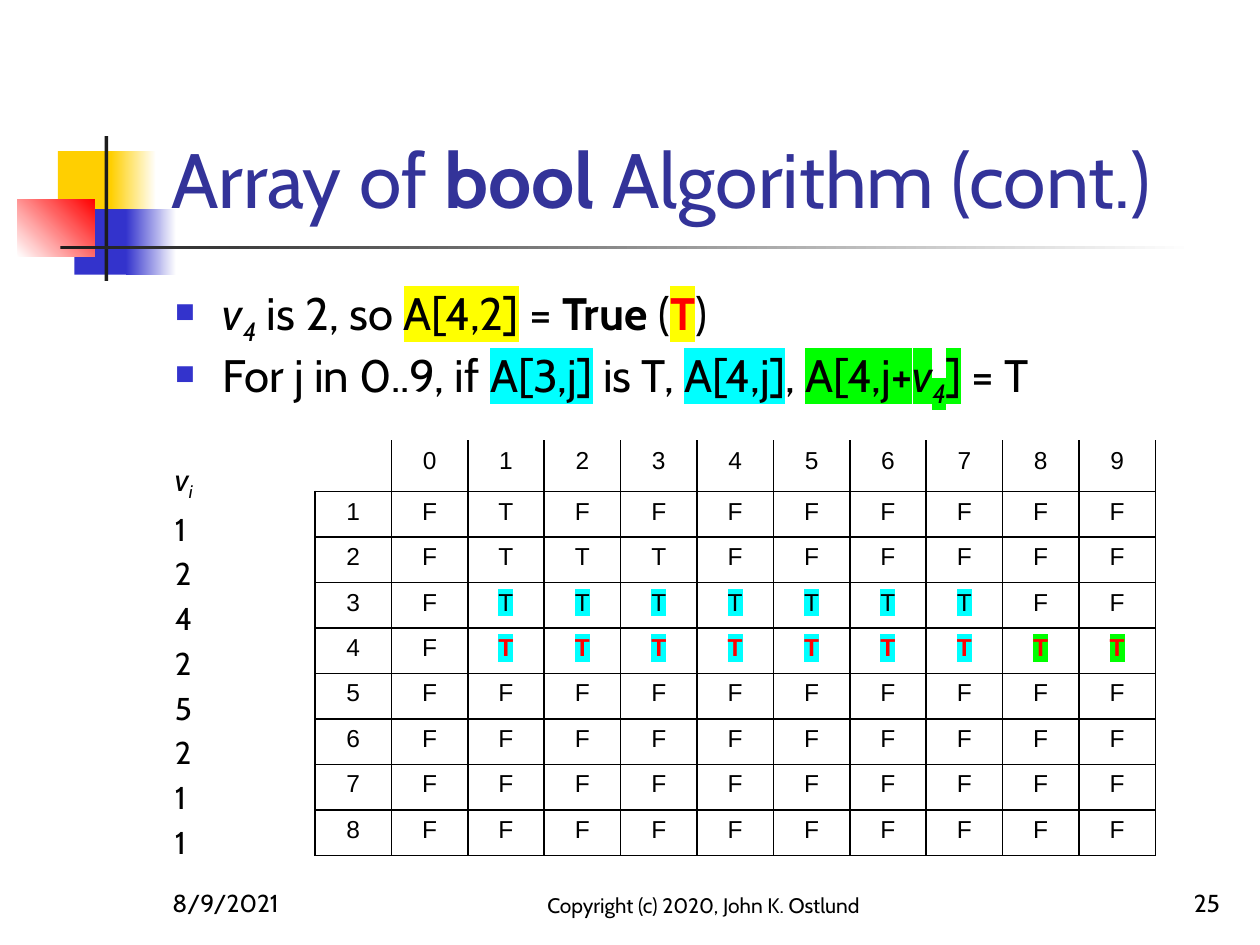
from dataclasses import dataclass
from typing import Optional

from lxml.etree import SubElement
from pptx import Presentation
from pptx.dml.color import RGBColor
from pptx.enum.shapes import MSO_SHAPE as Shape
from pptx.enum.text import MSO_ANCHOR as Anchor, PP_ALIGN as Align
from pptx.oxml.ns import qn
from pptx.util import Inches, Pt

COLORS = {
    "black": "000000", "white": "FFFFFF", "charcoal": "1C1C1C", "gold": "FFCF01",
    "blue": "3333CC", "navy": "333399", "red": "FF0000", "yellow": "FFFF00",
    "cyan": "00FFFF", "green": "00FF00",
}


@dataclass
class Bar:
    """A decorative rectangle, plain or fading to a second colour."""
    left: float
    top: float
    width: float
    height: float
    color: str
    end: Optional[str] = None
    angle: int = 0


@dataclass
class Span:
    """A piece of text with its own formatting."""
    text: str
    color: str = "black"
    bold: bool = False
    italic: bool = False
    subscript: bool = False
    highlight: Optional[str] = None


@dataclass
class Footer:
    """A line of text at the bottom of the slide."""
    text: str
    left: float
    width: float
    size: int
    align: Align


BARS = [
    Bar(0.46, 1.2, 0.48, 0.52, "gold"),
    Bar(0.88, 1.2, 0.36, 0.52, "gold", "white"),
    Bar(0.59, 1.66, 0.46, 0.52, "blue"),
    Bar(1, 1.66, 0.4, 0.52, "blue", "white"),
    Bar(0.14, 1.58, 0.61, 0.46, "white", "red", 45),
    Bar(0.83, 1.08, 0.03, 1.15, "charcoal"),
    Bar(0.48, 1.95, 9, 0.03, "charcoal", "white"),
]
TITLE = [
    Span("Array of ", "navy"), Span("bool", "navy", bold=True),
    Span(" Algorithm (cont.)", "navy"),
]
BULLETS = [
    [Span("v", italic=True), Span("4", italic=True, subscript=True), Span(" is 2, so "),
     Span("A[4,2]", highlight="yellow"), Span(" = "), Span("True", bold=True),
     Span(" ("), Span("T", "red", bold=True, highlight="yellow"), Span(")")],
    [Span("For j in 0..9, if "), Span("A[3,j]", highlight="cyan"), Span(" is T, "),
     Span("A[4,j]", highlight="cyan"), Span(", "), Span("A[4,j+", highlight="green"),
     Span("v", italic=True, highlight="green"),
     Span("4", italic=True, subscript=True, highlight="green"),
     Span("]", highlight="green"), Span(" = T")],
]
VALUES = [[Span("v", italic=True), Span("i", italic=True, subscript=True)]]
VALUES += [[Span(digit)] for digit in "12425211"]
FOOTERS = [
    Footer("8/9/2021", 1.27, 2.08, 14, Align.LEFT),
    Footer("Copyright (c) 2020, John K. Ostlund", 4, 3.17, 12, Align.CENTER),
    Footer("25", 7.7, 2.08, 14, Align.RIGHT),
]
TRUTH_ROWS = ["FTFFFFFFFF", "FTTTFFFFFF", "FTTTTTTTFF", "FTTTTTTTTT"] + ["F" * 10] * 4
SOURCE_ROW, RESULT_ROW, FIRST_NEW_SUM = 3, 4, 8


def rgb(name: str) -> RGBColor:
    """Look up a colour by name."""
    return RGBColor.from_string(COLORS[name])


def add_bar(slide, bar: Bar) -> None:
    """Draw one decorative rectangle."""
    shape = slide.shapes.add_shape(
        Shape.RECTANGLE, Inches(bar.left), Inches(bar.top), Inches(bar.width), Inches(bar.height))
    shape.shadow.inherit = False
    shape.line.fill.background()
    if bar.end is None:
        shape.fill.solid()
        shape.fill.fore_color.rgb = rgb(bar.color)
        return
    shape.fill.gradient()
    shape.fill.gradient_angle = bar.angle
    for stop, name in zip(shape.fill.gradient_stops, (bar.color, bar.end)):
        stop.color.rgb = rgb(name)


def write_spans(paragraph, spans: list[Span], size: int, font_name: str = "Cabin") -> None:
    """Fill a paragraph with formatted runs."""
    for span in spans:
        run = paragraph.add_run()
        run.text = span.text
        font = run.font
        font.name, font.size = font_name, Pt(size)
        font.bold, font.italic = span.bold, span.italic
        font.color.rgb = rgb(span.color)
        properties = run.font._element
        if span.subscript:
            properties.set("baseline", "-25000")
        if span.highlight:
            highlight = SubElement(properties, qn("a:highlight"))
            SubElement(highlight, qn("a:srgbClr"), val=COLORS[span.highlight])
            properties.find(qn("a:solidFill")).addnext(highlight)


def add_text_frame(slide, left: float, top: float, width: float, height: float, anchor: Anchor):
    """Add a wrapping text box and return its text frame."""
    box = slide.shapes.add_textbox(Inches(left), Inches(top), Inches(width), Inches(height))
    box.text_frame.word_wrap = True
    box.text_frame.vertical_anchor = anchor
    return box.text_frame


def set_bullet(paragraph) -> None:
    """Give a paragraph a small square bullet with a hanging indent."""
    properties = paragraph._p.get_or_add_pPr()
    properties.set("marL", str(Inches(0.38)))
    properties.set("indent", str(Inches(-0.38)))
    color = SubElement(properties, qn("a:buClr"))
    SubElement(color, qn("a:srgbClr"), val=COLORS["blue"])
    SubElement(properties, qn("a:buSzPct"), val="60000")
    SubElement(properties, qn("a:buChar"), char="■")


def add_body(slide) -> None:
    """Write the bullets and, below them, the column of values."""
    frame = add_text_frame(slide, 1.29, 2.21, 8.5, 4.5, Anchor.TOP)
    for index, spans in enumerate(BULLETS + VALUES):
        paragraph = frame.paragraphs[0] if index == 0 else frame.add_paragraph()
        is_bullet = index < len(BULLETS)
        if is_bullet:
            set_bullet(paragraph)
        else:
            paragraph.space_after = Pt(4)
        if index == len(BULLETS):
            paragraph.space_before = Pt(29)
        write_spans(paragraph, spans, 26 if is_bullet else 18)


def cell_span(text: str, row: int, column: int) -> Span:
    """Choose the formatting of a table entry."""
    if text != "T" or row not in (SOURCE_ROW, RESULT_ROW):
        return Span(text)
    highlight = "green" if column > FIRST_NEW_SUM else "cyan"
    is_result = row == RESULT_ROW
    return Span(text, "red" if is_result else "black", bold=is_result, highlight=highlight)


def set_borders(cell, sides: str) -> None:
    """Draw thin black lines on the given sides of a cell."""
    properties = cell._tc.get_or_add_tcPr()
    for side in sides:
        line = SubElement(properties, qn(f"a:ln{side}"), w=str(Pt(1)))
        fill = SubElement(line, qn("a:solidFill"))
        SubElement(fill, qn("a:srgbClr"), val=COLORS["black"])


def add_truth_table(slide) -> None:
    """Build the table of reachable sums."""
    entries = [["", *"0123456789"]]
    entries += [[str(number), *row] for number, row in enumerate(TRUTH_ROWS, 1)]
    table = slide.shapes.add_table(
        len(entries), len(entries[0]), Inches(2.5), Inches(3.5), Inches(6.67), Inches(3.25)).table
    table.first_row = table.horz_banding = False
    for row, texts in enumerate(entries):
        for column, text in enumerate(texts):
            cell = table.cell(row, column)
            set_borders(cell, "LRTB" if row else "LRB" if column else "RB")
            cell.fill.background()
            paragraph = cell.text_frame.paragraphs[0]
            paragraph.alignment = Align.CENTER
            if text:
                write_spans(paragraph, [cell_span(text, row, column)], 14, "Arial")


def main() -> None:
    """Build the slide and save it."""
    presentation = Presentation()
    presentation.slide_width, presentation.slide_height = Inches(10), Inches(7.5)
    slide = presentation.slides.add_slide(presentation.slide_layouts[6])
    for bar in BARS:
        add_bar(slide, bar)
    title = add_text_frame(slide, 1.26, 0.23, 8.52, 1.6, Anchor.BOTTOM)
    write_spans(title.paragraphs[0], TITLE, 44)
    add_body(slide)
    for footer in FOOTERS:
        frame = add_text_frame(slide, footer.left, 6.83, footer.width, 0.5, Anchor.BOTTOM)
        frame.paragraphs[0].alignment = footer.align
        write_spans(frame.paragraphs[0], [Span(footer.text)], footer.size)
    add_truth_table(slide)
    presentation.save("out.pptx")


if __name__ == "__main__":
    main()
